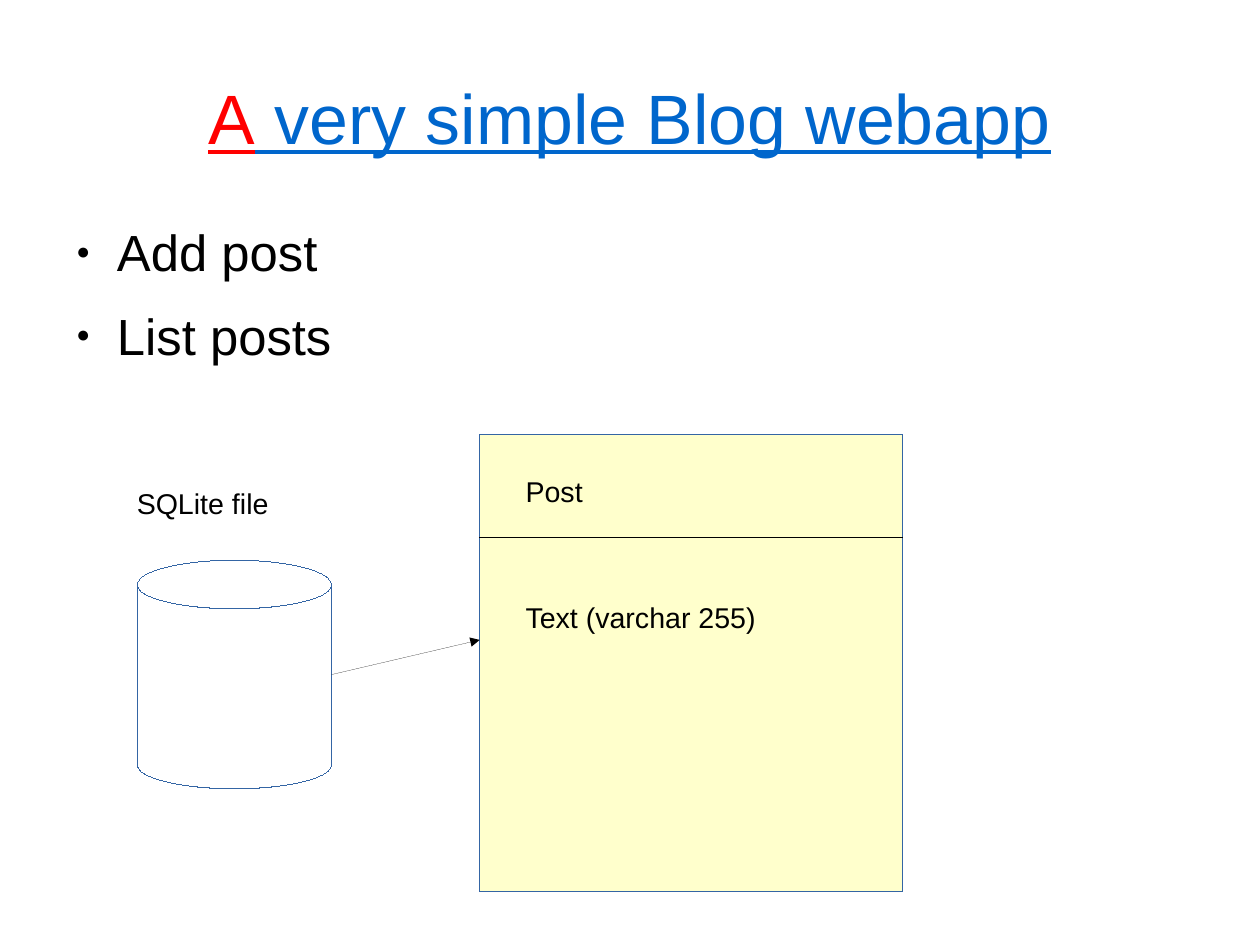
from lxml import etree
from pptx import Presentation
from pptx import util as u
from pptx.dml.color import RGBColor
from pptx.enum import shapes, text
from pptx.oxml.ns import qn

PX = 3600
COLORS = {"black": "000000", "red": "FF0000", "link": "0066CC",
          "outline": "3465A4", "entity": "FFFFCC"}


def add_text(box, frame, paragraphs, size):
    tf = s.shapes.add_textbox(*[v * PX for v in box]).text_frame
    for key, value in frame.items():
        setattr(tf, key, value)
    for i, runs in enumerate(paragraphs):
        p = tf.paragraphs[0] if i == 0 else tf.add_paragraph()
        for words, name in runs:
            r = p.add_run()
            r.text = words
            font = {"name": "Arial", "size": u.Pt(size)}
            for key, value in font.items():
                setattr(r.font, key, value)
            r.font.color.rgb = RGBColor.from_string(COLORS[name])
    return tf


def hairline(line, name):
    line.color.rgb = RGBColor.from_string(COLORS[name])
    ln = line._get_or_add_ln()
    ln.set("w", "0")
    return ln


prs = Presentation()
prs.slide_width, prs.slide_height = 2800 * PX, 2100 * PX
s = prs.slides.add_slide(prs.slide_layouts[6])

flush = {"word_wrap": True, "margin_left": 0, "margin_top": 0,
         "margin_right": 0, "margin_bottom": 0}

tf = add_text((140, 84, 2520, 351),
              {**flush, "vertical_anchor": text.MSO_ANCHOR.MIDDLE},
              [[("A", "red"), (" very simple Blog webapp", "link")]], 44)
p = tf.paragraphs[0]
p.alignment = text.PP_ALIGN.CENTER
for r in p.runs:
    r.font.underline = True

tf = add_text((140, 491, 2520, 1218), flush,
              [[("Add post", "black")], [("List posts", "black")]], 32)
for p in tf.paragraphs:
    pPr = p._p.get_or_add_pPr()
    pPr.set("marL", str(120 * PX))
    pPr.set("indent", str(-90 * PX))
    buClr = etree.SubElement(pPr, qn("a:buClr"))
    etree.SubElement(buClr, qn("a:srgbClr"), val=COLORS["black"])
    etree.SubElement(pPr, qn("a:buSzPct"), val="45000")
    etree.SubElement(pPr, qn("a:buFont"), typeface="Arial")
    etree.SubElement(pPr, qn("a:buChar"), char="●")
    p.space_after = u.Pt(14.2)

for kind, box, fill in [
    (shapes.MSO_SHAPE.RECTANGLE, (1066, 965, 940, 1016), "entity"),
    (shapes.MSO_SHAPE.CAN, (305, 1245, 432, 508), None),
]:
    sp = s.shapes.add_shape(kind, *[v * PX for v in box])
    sp.shadow.inherit = False
    if fill:
        sp.fill.solid()
        sp.fill.fore_color.rgb = RGBColor.from_string(COLORS[fill])
    else:
        sp.fill.background()
        sp.adjustments[0] = 0.25
    hairline(sp.line, "outline")

for ends, arrow in [((1066, 1194, 2006, 1194), False),
                    ((737, 1499, 1066, 1422), True)]:
    cxn = s.shapes.add_connector(shapes.MSO_CONNECTOR.STRAIGHT,
                                 *[v * PX for v in ends])
    ln = hairline(cxn.line, "black")
    if arrow:
        etree.SubElement(ln, qn("a:tailEnd"), type="triangle")
    etree.SubElement(cxn._element.spPr, qn("a:effectLst"))

label = {"word_wrap": False, "auto_size": text.MSO_AUTO_SIZE.SHAPE_TO_FIT_TEXT}
for words, x, y, w in [("Post", 1143, 1040, 178),
                       ("Text (varchar 255)", 1143, 1320, 566),
                       ("SQLite file", 279, 1067, 343)]:
    add_text((x, y, w, 97), label, [[(words, "black")]], 18)

prs.save("out.pptx")
